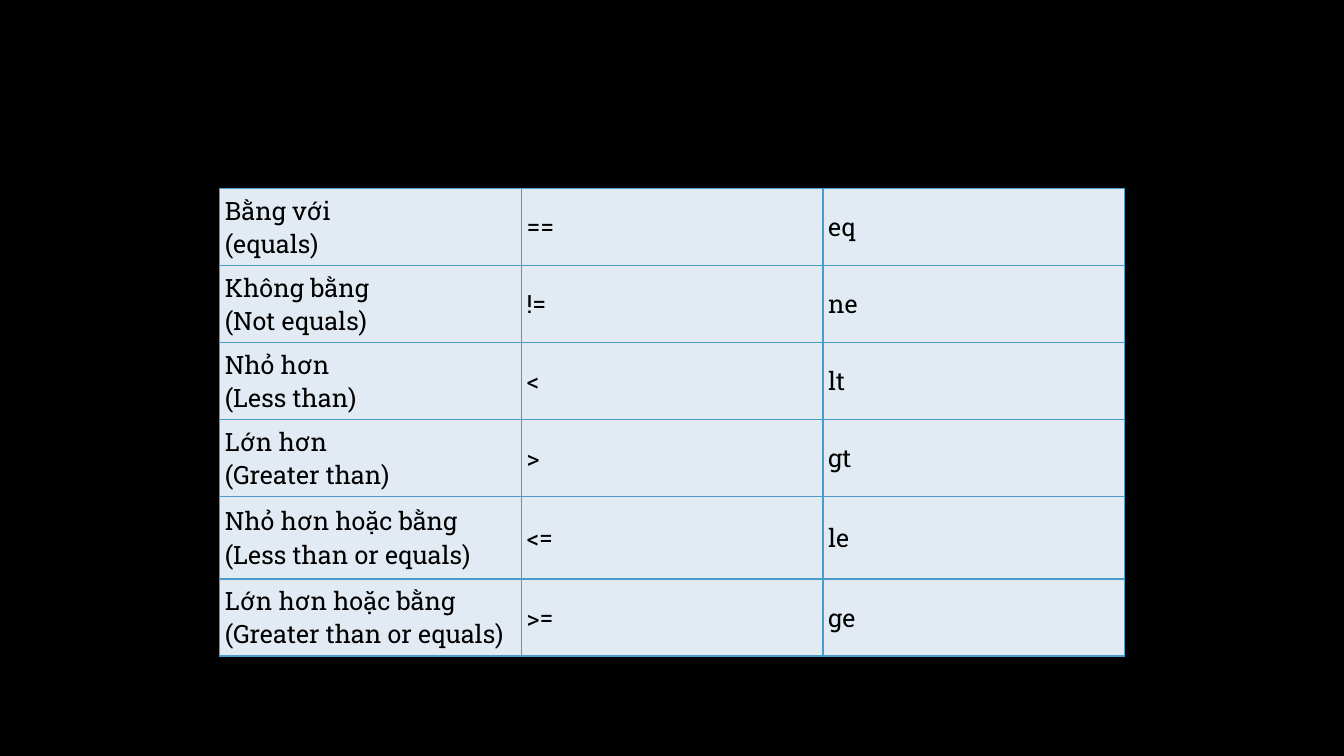
from pptx import Presentation
from pptx import util as u
from pptx.dml import color
from pptx.enum import text
from pptx.oxml import parse_xml
from pptx.oxml import ns

COLORS = {"background": "000000", "cell": "E2EAF3", "border": "4A9CCC", "text": "000000"}
OPERATORS = [
    ("Bằng với", "equals", "==", "eq"),
    ("Không bằng", "Not equals", "!=", "ne"),
    ("Nhỏ hơn", "Less than", "<", "lt"),
    ("Lớn hơn", "Greater than", ">", "gt"),
    ("Nhỏ hơn hoặc bằng", "Less than or equals", "<=", "le"),
    ("Lớn hơn hoặc bằng", "Greater than or equals", ">=", "ge"),
]


def rgb(name):
    return color.RGBColor.from_string(COLORS[name])


def write(para, words, font="Roboto Slab", size=18, ink="text"):
    para.text = words
    for span in para.runs:
        span.font.name = font
        span.font.size = u.Pt(size)
        span.font.bold = False
        span.font.color.rgb = rgb(ink)


class Page:
    def __init__(self, deck):
        self.slide = deck.slides.add_slide(deck.slide_layouts[6])
        self.margin = u.Cm(0.13)

    def background(self, name):
        fill = self.slide.background.fill
        fill.solid()
        fill.fore_color.rgb = rgb(name)

    def border(self, cell, name, width=1):
        properties = cell._tc.get_or_add_tcPr()
        for side in "LRTB":
            properties.append(parse_xml(
                f'<a:ln{side} {ns.nsdecls("a")} w="{u.Pt(width)}"><a:solidFill>'
                f'<a:srgbClr val="{COLORS[name]}"/></a:solidFill></a:ln{side}>'))

    def cell(self, cell, words):
        self.border(cell, "border")
        cell.fill.solid()
        cell.fill.fore_color.rgb = rgb("cell")
        cell.vertical_anchor = text.MSO_ANCHOR.MIDDLE
        cell.margin_left = cell.margin_right = self.margin
        cell.margin_top = cell.margin_bottom = self.margin
        write(cell.text_frame.paragraphs[0], words)

    def table(self, rows, left, top, column_width, row_heights):
        columns = len(rows[0])
        frame = self.slide.shapes.add_table(
            len(rows), columns, left, top, column_width * columns, sum(row_heights))
        table = frame.table
        table.first_row = table.horz_banding = False
        for column in table.columns:
            column.width = column_width
        for row, height, values in zip(table.rows, row_heights, rows):
            row.height = height
            for cell, words in zip(row.cells, values):
                self.cell(cell, words)


deck = Presentation()
deck.slide_width, deck.slide_height = u.Cm(33.87), u.Cm(19.05)
page = Page(deck)
page.background("background")
rows = [(f"{name}\v({meaning})", symbol, word) for name, meaning, symbol, word in OPERATORS]
heights = [u.Cm(2.08 if word == "le" else 1.94) for *_, word in OPERATORS]
page.table(rows, u.Cm(5.54), u.Cm(4.75), u.Cm(7.6), heights)
deck.save("out.pptx")
